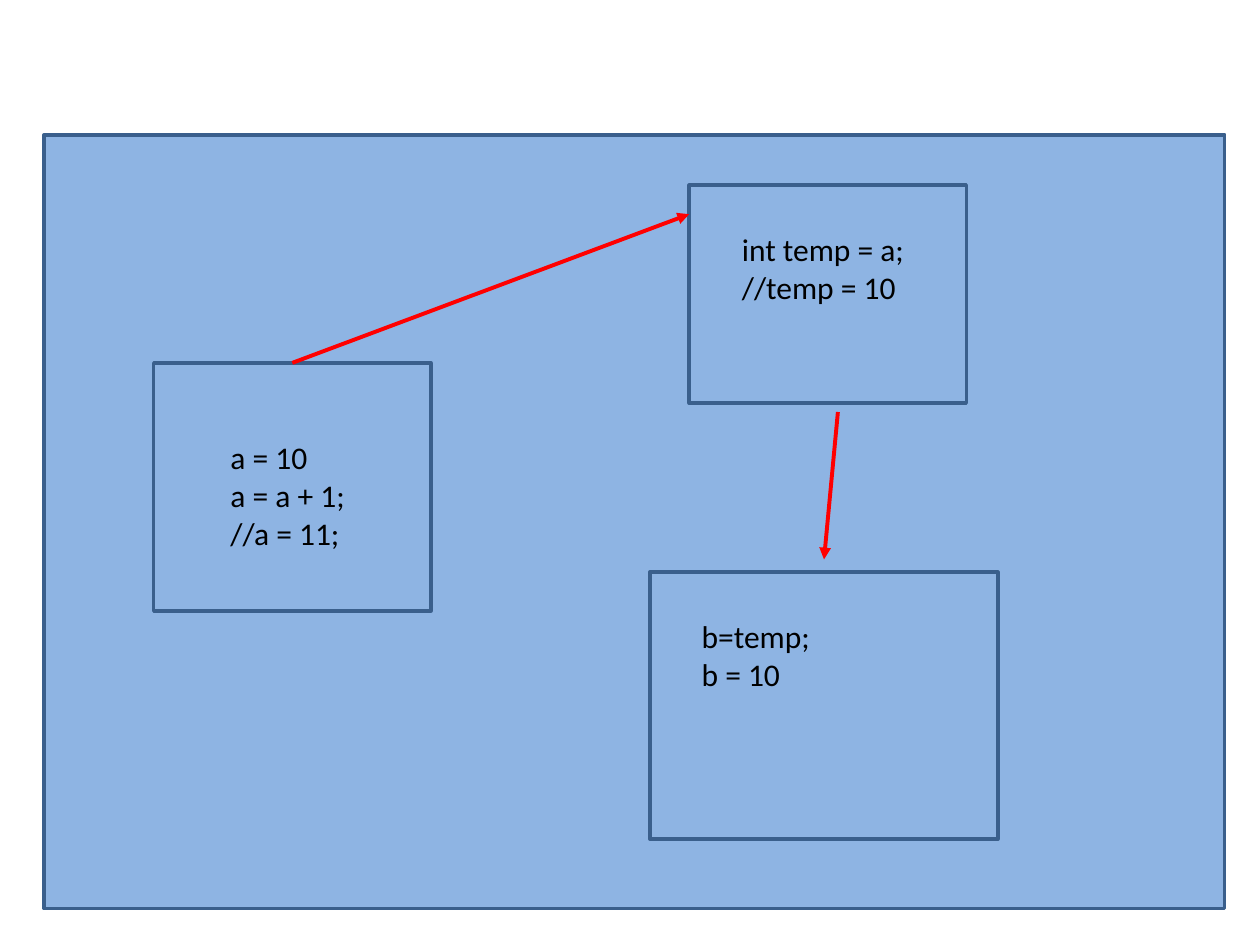
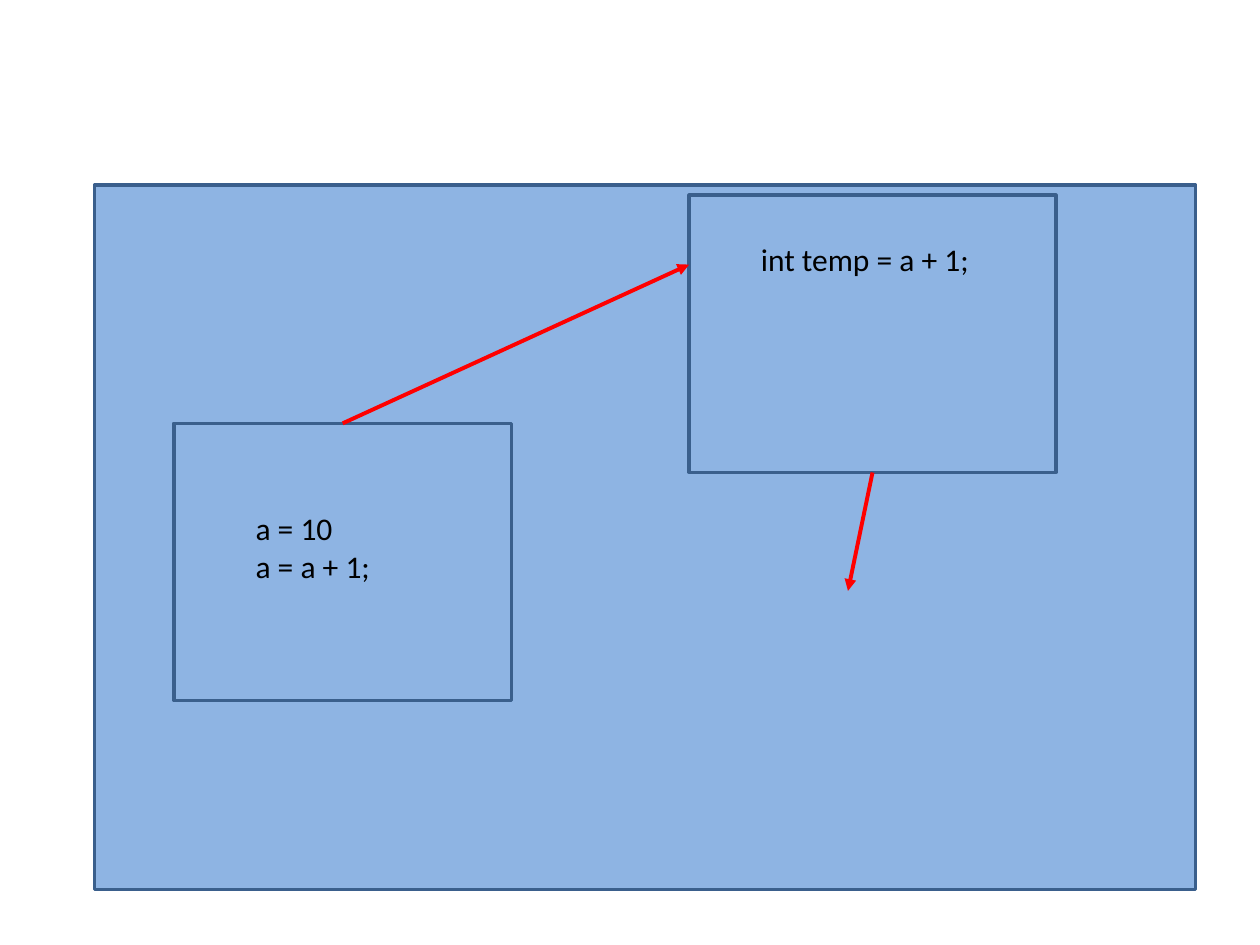
from lxml import etree
from pptx import Presentation
from pptx.dml.color import RGBColor
from pptx.enum import shapes
from pptx.oxml import ns
from pptx.util import Inches, Pt

FONT = "Calibri"
PANEL_BLUE = RGBColor(0x8E, 0xB4, 0xE3)
BORDER_BLUE = RGBColor(0x3A, 0x5F, 0x8C)
ARROW_RED = RGBColor(0xFF, 0x00, 0x00)
BLACK = RGBColor(0x00, 0x00, 0x00)
TOP, BOTTOM = 0, 2

SLIDES = [
    {
        "memory": (0.35, 1.07, 9.37, 6.14),
        "boxes": {
            "a": ((1.22, 2.88, 2.2, 1.97), (1.73, 3.43, 1.18, 1.01),
                  ["a = 10", "a = a + 1;", "//a = 11;"]),
            "temp": ((5.47, 1.47, 2.2, 1.73), (5.79, 1.78, 1.73, 0.71),
                     ["int temp = a;", "//temp = 10"]),
            "b": ((5.16, 4.54, 2.76, 2.12), (5.47, 4.85, 2.05, 0.71),
                  ["b=temp;", "b = 10"]),
        },
        "arrows": [
            ((2.32, 2.88), (5.47, 1.7), ("a", TOP)),
            ((6.65, 3.27), (6.54, 4.44), None),
        ],
    },
    {
        "memory": (0.75, 1.47, 8.74, 5.59),
        "boxes": {
            "a": ((1.38, 3.36, 2.68, 2.2), (1.93, 3.99, 2.44, 0.71),
                  ["a = 10", "a = a + 1;"]),
            "temp": ((5.47, 1.55, 2.91, 2.2), (5.94, 1.86, 2.52, 0.4),
                     ["int temp = a + 1;"]),
        },
        "arrows": [
            ((2.72, 3.36), (5.47, 2.1), ("a", TOP)),
            ((6.93, 3.75), (6.73, 4.69), ("temp", BOTTOM)),
        ],
    },
]


def add_box(page, area):
    box = page.shapes.add_shape(shapes.MSO_SHAPE.RECTANGLE, *map(Inches, area))
    box.shadow.inherit = False
    box.fill.solid()
    box.fill.fore_color.rgb = PANEL_BLUE
    box.line.color.rgb = BORDER_BLUE
    box.line.width = Pt(2)
    return box


def add_code(page, area, lines):
    frame = page.shapes.add_textbox(*map(Inches, area)).text_frame
    frame.word_wrap = True
    frame.text = "\n".join(lines)
    for para in frame.paragraphs:
        para.font.name = FONT
        para.font.size = Pt(18)
        para.font.color.rgb = BLACK


def add_arrow(page, start, end, joint, boxes):
    arrow = page.shapes.add_connector(
        shapes.MSO_CONNECTOR.STRAIGHT, *map(Inches, start + end))
    if joint:
        name, side = joint
        arrow.begin_connect(boxes[name], side)
    arrow.line.color.rgb = ARROW_RED
    arrow.line.width = Pt(2.25)
    properties = arrow.element.spPr
    outline = properties.find(ns.qn("a:ln"))
    etree.SubElement(outline, ns.qn("a:tailEnd"), type="triangle")
    etree.SubElement(properties, ns.qn("a:effectLst"))


def add_page(deck, content):
    page = deck.slides.add_slide(deck.slide_layouts[6])
    add_box(page, content["memory"])
    boxes = {}
    for name, (area, code_area, lines) in content["boxes"].items():
        boxes[name] = add_box(page, area)
        add_code(page, code_area, lines)
    for start, end, joint in content["arrows"]:
        add_arrow(page, start, end, joint, boxes)


def main():
    deck = Presentation()
    deck.slide_width = Inches(10)
    deck.slide_height = Inches(7.5)
    for content in SLIDES:
        add_page(deck, content)
    deck.save("out.pptx")


if __name__ == "__main__":
    main()
